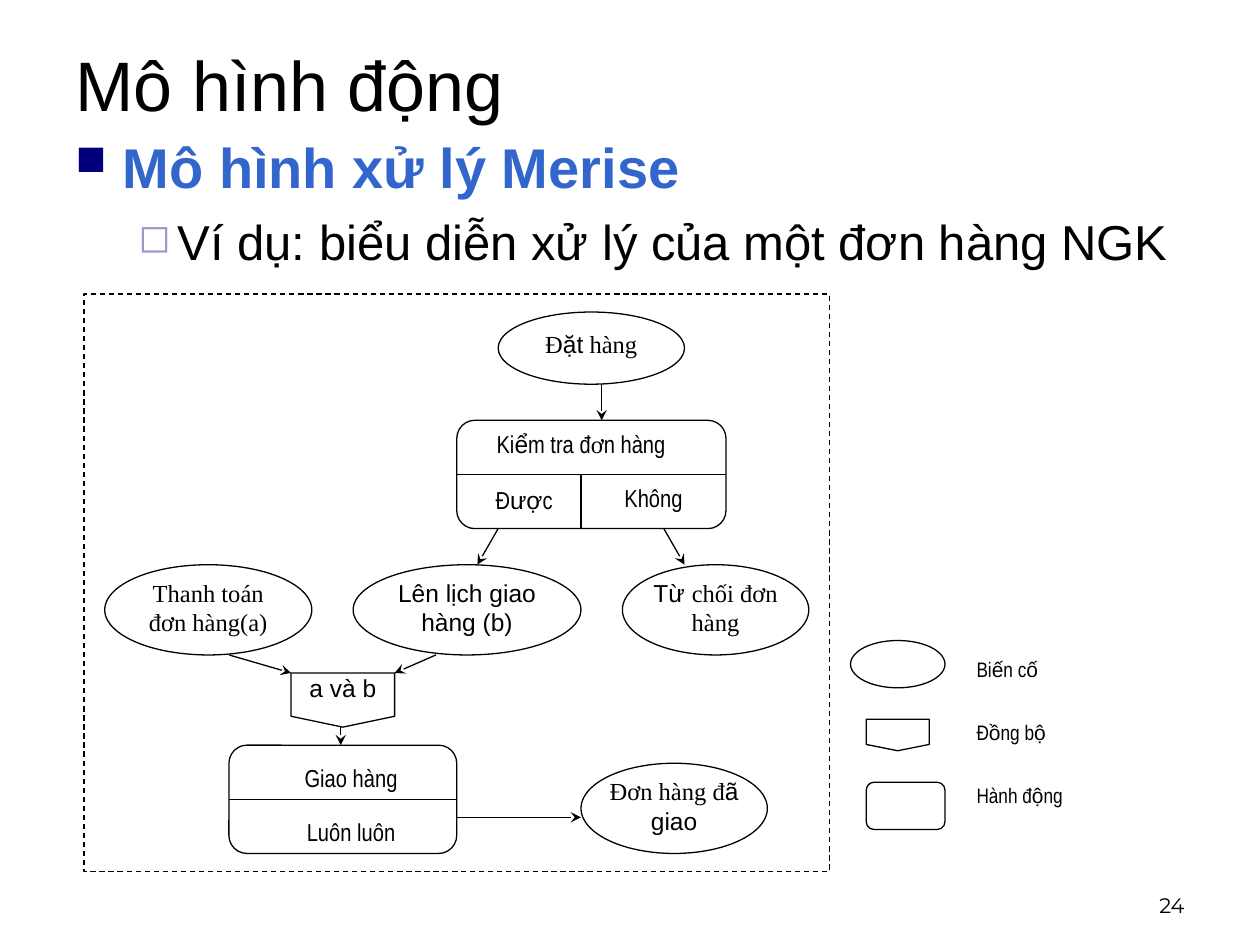
from lxml import etree
from pptx import Presentation
from pptx.dml.color import RGBColor
from pptx.enum.dml import MSO_LINE
from pptx.enum.shapes import MSO_CONNECTOR, MSO_SHAPE
from pptx.enum.text import MSO_ANCHOR, PP_ALIGN
from pptx.oxml.ns import qn
from pptx.util import Pt

BLACK, WHITE = "000000", "FFFFFF"
ARIAL, NARROW, TIMES = "Arial", "Arial Narrow", "Times New Roman"
OVAL, ROUND = MSO_SHAPE.OVAL, MSO_SHAPE.ROUNDED_RECTANGLE
SYNC = MSO_SHAPE.FLOWCHART_OFFPAGE_CONNECTOR


def color(code):
    return RGBColor.from_string(code)


def style(font, name, size, code=BLACK, bold=False):
    font.name, font.size, font.bold = name, Pt(size), bold
    font.color.rgb = color(code)


def write(shape, runs, size=14, align=PP_ALIGN.CENTER):
    frame = shape.text_frame
    frame.word_wrap = True
    frame.vertical_anchor = MSO_ANCHOR.TOP
    frame.margin_left = frame.margin_right = 0
    frame.margin_top = frame.margin_bottom = 0
    para = frame.paragraphs[0]
    para.alignment = align
    for text, name in runs:
        run = para.add_run()
        run.text = text
        style(run.font, name, size)


def add_text(slide, box, runs, size=14, align=PP_ALIGN.CENTER):
    label = slide.shapes.add_textbox(*map(Pt, box))
    write(label, runs, size, align)
    return label


def add_node(slide, kind, box, runs=()):
    node = slide.shapes.add_shape(kind, *map(Pt, box))
    node.shadow.inherit = False
    node.fill.solid()
    node.fill.fore_color.rgb = color(WHITE)
    node.line.color.rgb = color(BLACK)
    node.line.width = Pt(0.75)
    write(node, runs)
    return node


def add_line(slide, start, end, arrow=False):
    line = slide.shapes.add_connector(
        MSO_CONNECTOR.STRAIGHT, *map(Pt, start + end))
    line.line.color.rgb = color(BLACK)
    line.line.width = Pt(0.75)
    props = line.element.spPr
    if arrow:
        etree.SubElement(props.find(qn("a:ln")), qn("a:tailEnd"), type="stealth")
    etree.SubElement(props, qn("a:effectLst"))


def add_bullet(para, mark, code, scale, left, hang):
    props = para._p.get_or_add_pPr()
    props.set("marL", str(Pt(left)))
    props.set("indent", str(Pt(-hang)))
    tint = etree.SubElement(props, qn("a:buClr"))
    etree.SubElement(tint, qn("a:srgbClr"), val=code)
    etree.SubElement(props, qn("a:buSzPct"), val=str(scale * 1000))
    etree.SubElement(props, qn("a:buChar"), char=mark)


def place_title(slide, box):
    title = slide.shapes.title
    title.left, title.top, title.width, title.height = map(Pt, box)
    frame = title.text_frame
    frame.text = "Mô hình động"
    frame.vertical_anchor = MSO_ANCHOR.MIDDLE
    para = frame.paragraphs[0]
    para.alignment = PP_ALIGN.LEFT
    style(para.runs[0].font, ARIAL, 40)


def place_body(slide, box):
    frame = slide.shapes.add_textbox(*map(Pt, box)).text_frame
    frame.word_wrap = True
    frame.text = ("Mô hình xử lý Merise\n"
                  "Ví dụ: biểu diễn xử lý của một đơn hàng NGK")
    head, sub = frame.paragraphs
    add_bullet(head, "■", "00007D", 75, 27, 27)
    style(head.runs[0].font, ARIAL, 32, "3366CC", True)
    sub.level = 1
    sub.space_before = Pt(7)
    add_bullet(sub, "◻", "9999CC", 80, 58.5, 22.5)
    style(sub.runs[0].font, ARIAL, 28)


def place_flow(slide, box):
    left, top, width, height = box
    col, row = width / 36, height / 32

    def spot(x, y):
        return left + x * col, top + y * row

    def area(x, y, w, h):
        return spot(x, y) + (w * col, h * row)

    frame = add_node(slide, MSO_SHAPE.RECTANGLE, box)
    frame.fill.background()
    frame.line.dash_style = MSO_LINE.DASH

    nodes = [
        (ROUND, (18, 7, 13, 6), []),
        (OVAL, (26, 15, 9, 5), [("Từ ", ARIAL), ("chối đơn hàng", TIMES)]),
        (OVAL, (13, 15, 11, 5), [("Lên lịch giao hàng (b)", ARIAL)]),
        (OVAL, (1, 15, 10, 5), [("Thanh toán đơn hàng(a)", TIMES)]),
        (SYNC, (10, 21, 5, 3), [("a và b", ARIAL)]),
        (ROUND, (7, 25, 11, 6), []),
        (OVAL, (24, 26, 9, 5), [("Đơn hàng đ", TIMES), ("ã giao", ARIAL)]),
    ]
    for kind, cells, runs in nodes:
        add_node(slide, kind, area(*cells), runs)
    order = add_node(slide, OVAL, area(20, 1, 9, 4),
                     [("Đ", TIMES), ("ặt", ARIAL), (" hàng", TIMES)])
    order.text_frame.margin_top = order.text_frame.margin_bottom = Pt(3.6)

    rules = [((18, 10), (31, 10)), ((24, 10), (24, 13)), ((7, 28), (18, 28))]
    for start, end in rules:
        add_line(slide, spot(*start), spot(*end))

    arrows = [
        ((25, 5), (25, 7)), ((20, 13), (19, 15)), ((28, 13), (29, 15)),
        ((7, 20), (10, 21)), ((17, 20), (15, 21)),
        ((12.4, 24), (12.4, 25)), ((18, 29), (24, 29)),
    ]
    for start, end in arrows:
        add_line(slide, spot(*start), spot(*end), True)

    labels = [
        ((19, 7.5, 10, 2), [("Ki", NARROW), ("ể", ARIAL), ("m tra đ", NARROW),
                            ("ơ", TIMES), ("n hàng", NARROW)]),
        ((18.75, 10.6, 5, 2), [("Đ", NARROW), ("ượ", ARIAL), ("c", NARROW)]),
        ((25, 10.5, 5, 2), [("Không", NARROW)]),
        ((8.65, 26, 8.5, 2), [("Giao hàng", NARROW)]),
        ((8.65, 29, 8.5, 2), [("Luôn luôn", NARROW)]),
    ]
    for cells, runs in labels:
        add_text(slide, area(*cells), runs)


def place_legend(slide, box):
    left, top, width, height = box
    items = [
        (OVAL, (0, 0, 54, 27), 9,
         [("Bi", NARROW), ("ế", ARIAL), ("n c", NARROW), ("ố", ARIAL)]),
        (SYNC, (9, 45, 36, 18), 45,
         [("Đ", NARROW), ("ồ", ARIAL), ("ng b", NARROW), ("ộ", ARIAL)]),
        (ROUND, (9, 81, 45, 27), 81,
         [("Hành đ", NARROW), ("ộ", ARIAL), ("ng", NARROW)]),
    ]
    for kind, (x, y, w, h), drop, runs in items:
        add_node(slide, kind, (left + x, top + y, w, h))
        add_text(slide, (left + 72, top + drop, width - 72, 18),
                 runs, 12, PP_ALIGN.LEFT)


def place_number(slide, box):
    frame = slide.shapes.add_textbox(*map(Pt, box)).text_frame
    frame.word_wrap = True
    frame.vertical_anchor = MSO_ANCHOR.BOTTOM
    frame.text = "24"
    para = frame.paragraphs[0]
    para.alignment = PP_ALIGN.RIGHT
    style(para.runs[0].font, "Montserrat", 12)


def main():
    deck = Presentation()
    deck.slide_width, deck.slide_height = Pt(720), Pt(540)
    slide = deck.slides.add_slide(deck.slide_layouts[5])
    place_title(slide, (36, 30, 648, 36))
    place_body(slide, (36, 72, 648, 90))
    place_flow(slide, (48, 168, 426, 330))
    place_legend(slide, (486, 366, 126, 108))
    place_number(slide, (516, 492, 168, 36))
    deck.save("out.pptx")


if __name__ == "__main__":
    main()
